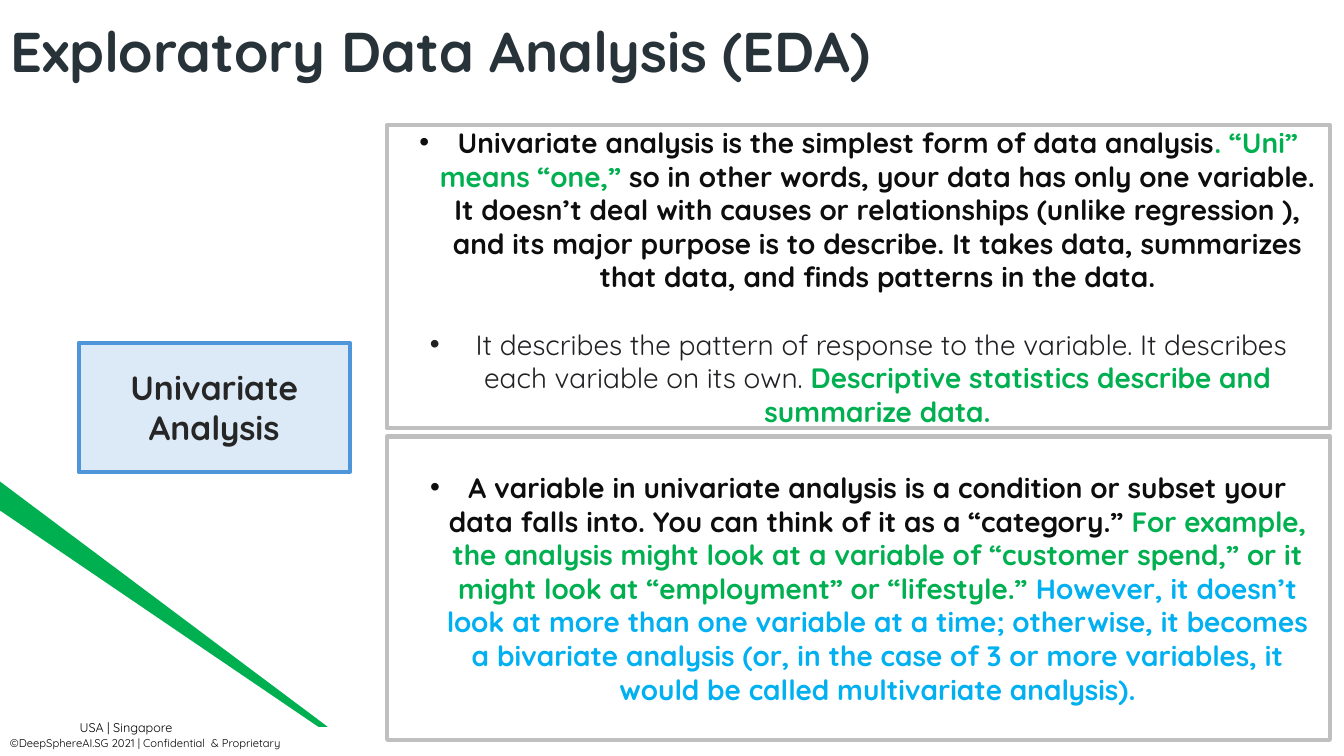
from lxml.etree import SubElement as Sub
from pptx import Presentation
from pptx.dml.color import RGBColor
from pptx.enum.shapes import MSO_SHAPE as Shape
from pptx.enum.text import MSO_ANCHOR as Anchor, MSO_AUTO_SIZE as Fit, PP_ALIGN as Align
from pptx.oxml.ns import qn
from pptx.util import Inches, Pt

FONT = "Quicksand"
HUES = {
    "title": "273239", "label": "262626", "ink": "0D0D0D", "gray": "202124",
    "green": "00B050", "blue": "00B0F0", "black": "000000", "white": "FFFFFF",
    "pale": "DCEAF7", "edge": "4E95D9", "frame": "BFBFBF",
}
RULES = [
    [
        ("Univariate analysis is the simplest form of data analysis", "ink", True),
        (". “Uni” means “one,” ", "green", True),
        ("so in other words, your data has only one variable. It doesn’t deal with causes "
         "or relationships (unlike regression ), and its major purpose is to describe. "
         "It takes data, summarizes that data, and finds patterns in the data.", "ink", True),
    ],
    [
        (" It describes the pattern of response to the variable. "
         "It describes each variable on its own. ", "gray", False),
        ("Descriptive statistics describe and summarize data.", "green", True),
    ],
]
CASES = [
    [
        ("A variable in univariate analysis is a condition or subset your data falls into. "
         "You can think of it as a “category.”", "ink", True),
        (" For example, the analysis might look at a variable of “customer spend,” "
         "or it might look at “employment” or “lifestyle.” ", "green", True),
        ("However, it doesn’t look at more than one variable at a time; otherwise, it becomes "
         "a bivariate analysis (or, in the case of 3 or more variables, it would be called "
         "multivariate analysis).", "blue", True),
    ],
]


def color(name):
    return RGBColor.from_string(HUES[name])


def place(item, box):
    item.left, item.top, item.width, item.height = [Inches(n) for n in box]


def setup(item, anchor):
    frame = item.text_frame
    frame.word_wrap = True
    frame.auto_size = Fit.NONE
    frame.vertical_anchor = anchor
    return frame


def write(para, text, size, hue, bold=False):
    run = para.add_run()
    run.text = text
    font = run.font
    font.name, font.size, font.bold = FONT, Pt(size), bold
    font.color.rgb = color(hue)


def outline(item, hue):
    item.line.color.rgb = color(hue)
    item.line.width = Pt(3)


def head(item, box):
    place(item, box)
    para = setup(item, Anchor.TOP).paragraphs[0]
    para.alignment = Align.LEFT
    write(para, "Exploratory Data Analysis (EDA)", 40, "title", True)


def panel(item, box, points):
    place(item, box)
    outline(item, "frame")
    frame = setup(item, Anchor.MIDDLE)
    for i, runs in enumerate(points):
        para = frame.add_paragraph() if i else frame.paragraphs[0]
        para.alignment = Align.CENTER
        para.line_spacing = 1.0
        para.space_before = Pt(24 if i else 0)
        props = para._p.get_or_add_pPr()
        props.set("marL", str(Inches(0.38)))
        props.set("indent", str(Inches(-0.38)))
        Sub(props, qn("a:buFont")).set("typeface", "Arial")
        Sub(props, qn("a:buChar")).set("char", "•")
        for text, hue, bold in runs:
            write(para, text, 20, hue, bold)


def block(slide, kind, box, hue):
    item = slide.shapes.add_shape(kind, *[Inches(n) for n in box])
    item.shadow.inherit = False
    item.fill.solid()
    item.fill.fore_color.rgb = color(hue)
    item.line.fill.background()
    return item


def label(slide, box):
    item = block(slide, Shape.RECTANGLE, box, "pale")
    outline(item, "edge")
    para = setup(item, Anchor.MIDDLE).paragraphs[0]
    para.alignment = Align.CENTER
    write(para, "Univariate Analysis", 24, "label", True)


def note(slide, box, text, size, align):
    item = slide.shapes.add_textbox(*[Inches(n) for n in box])
    para = setup(item, Anchor.TOP).paragraphs[0]
    para.alignment = align
    write(para, text, size, "black")


def corner(slide, box):
    left, top, wide, high = box
    block(slide, Shape.RIGHT_TRIANGLE, (left, top, wide - 0.33, high - 0.29), "green")
    block(slide, Shape.RIGHT_TRIANGLE, (left, top + 0.29, wide, high - 0.29), "white")
    base = top + high
    note(slide, (0, base - 0.24, 3.26, 0.24),
         "©DeepSphereAI.SG 2021 | Confidential  & Proprietary", 8, Align.LEFT)
    note(slide, (-0.02, base - 0.41, 2.54, 0.25), "USA | Singapore", 9, Align.CENTER)


def main():
    deck = Presentation()
    deck.slide_width, deck.slide_height = Inches(13.33), Inches(7.5)
    slide = deck.slides.add_slide(deck.slide_layouts[3])
    title, *lists = slide.placeholders
    head(title, (0, 0.11, 13.33, 0.77))
    corner(slide, (-0.01, 4.77, 3.59, 2.73))
    label(slide, (0.78, 3.4, 2.69, 1.28))
    for i, (item, points) in enumerate(zip(lists, (RULES, CASES))):
        panel(item, (3.84, 1.24 + i * 3.09, 9.35, 3.01), points)
    deck.save("out.pptx")


if __name__ == "__main__":
    main()
